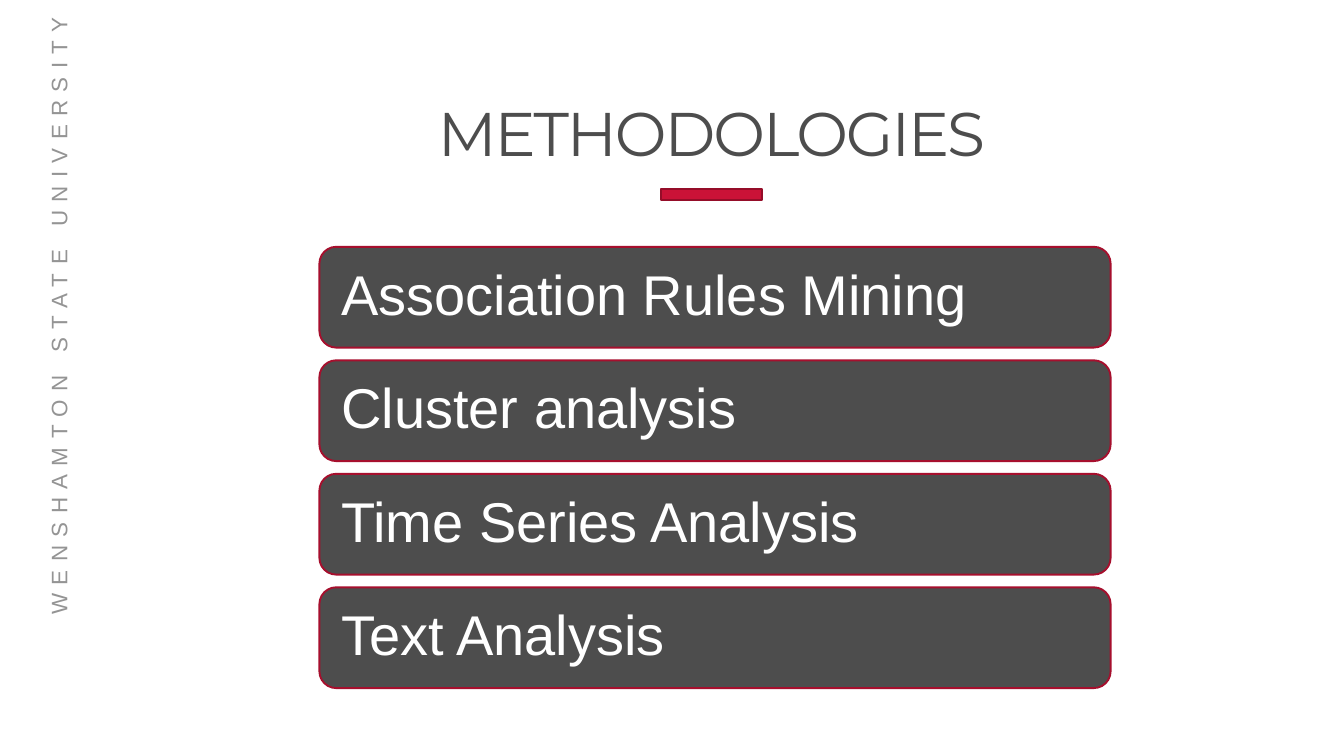
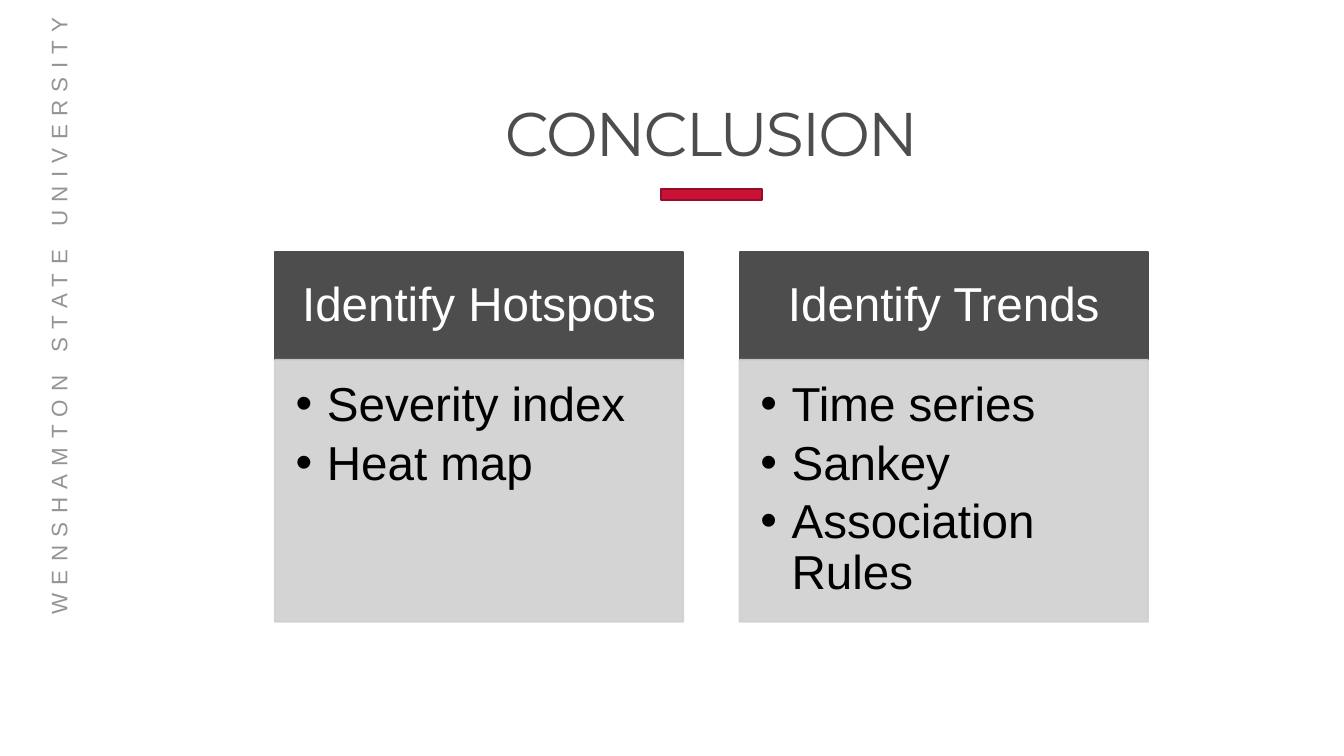
from lxml.etree import SubElement
from pptx import Presentation
from pptx.dml.color import RGBColor
from pptx.enum.shapes import MSO_SHAPE as Shape
from pptx.enum.text import MSO_ANCHOR as Anchor, MSO_AUTO_SIZE as AutoSize, PP_ALIGN as Align
from pptx.oxml.ns import qn
from pptx.util import Cm, Pt

WHITE = RGBColor(0xFF, 0xFF, 0xFF)
BLACK = RGBColor(0x00, 0x00, 0x00)
CHARCOAL = RGBColor(0x4D, 0x4D, 0x4D)
SILVER = RGBColor(0xD0, 0xD0, 0xD0)
SIDE_GREY = RGBColor(0x94, 0x94, 0x94)
BRIGHT_RED = RGBColor(0xCA, 0x12, 0x37)
DARK_RED = RGBColor(0x95, 0x0D, 0x29)
CRIMSON = RGBColor(0xA6, 0x0F, 0x2D)

TITLE_FONT = "Montserrat"
BODY_FONT = "Arial"
SIDE_TEXT = "WENSHAMTON STATE UNIVERSITY"

METHODS = ["Association Rules Mining", "Cluster analysis", "Time Series Analysis", "Text Analysis"]
CONCLUSIONS = {
    "Identify Hotspots": ["Severity index", "Heat map"],
    "Identify Trends": ["Time series", "Sankey", "Association Rules"],
}


def add_bullet(para, indent):
    props = para._p.get_or_add_pPr()
    props.set("marL", str(indent))
    props.set("indent", str(-indent))
    SubElement(props, qn("a:buFont")).set("typeface", BODY_FONT)
    SubElement(props, qn("a:buChar")).set("char", "•")


def set_opacity(fill, percent):
    for color in fill._xPr.iter(qn("a:srgbClr")):
        SubElement(color, qn("a:alpha")).set("val", str(percent * 1000))


def write(shape, lines, *, size, color, font=BODY_FONT, align=Align.LEFT, anchor=Anchor.MIDDLE,
          insets=(0, 0, 0, 0), line_spacing=0.9, space_after=0, tracking=0, bullet_indent=None):
    """Fill the shape with one paragraph per line; insets are left, top, right, bottom in cm."""
    frame = shape.text_frame
    frame.word_wrap = True
    frame.auto_size = AutoSize.NONE
    frame.vertical_anchor = anchor
    frame.margin_left, frame.margin_top, frame.margin_right, frame.margin_bottom = map(Cm, insets)
    for number, line in enumerate(lines):
        para = frame.add_paragraph() if number else frame.paragraphs[0]
        para.alignment = align
        para.line_spacing = line_spacing
        para.space_before = Pt(0)
        para.space_after = Pt(space_after)
        if bullet_indent:
            add_bullet(para, bullet_indent)
        span = para.add_run()
        span.text = line
        span.font.name = font
        span.font.size = Pt(size)
        span.font.color.rgb = color
        if tracking:
            span.font._element.set("spc", str(int(tracking * 100)))


class Builder:
    """Holds the deck and the slide being filled; lengths are in cm."""

    def __init__(self):
        self.deck = Presentation()
        self.deck.slide_width = Cm(33.87)
        self.deck.slide_height = Cm(19.05)
        self.page = None

    def start_page(self, title):
        self.page = self.deck.slides.add_slide(self.deck.slide_layouts[5])
        self.side_label()
        self.box(16.66, 4.77, 2.54, 0.27, BRIGHT_RED, DARK_RED)
        heading = self.page.shapes.title
        heading.left, heading.top, heading.width, heading.height = map(Cm, (4.95, 0.99, 25.96, 3.3))
        write(heading, [title], size=44, color=CHARCOAL, font=TITLE_FONT, align=Align.CENTER,
              anchor=Anchor.BOTTOM, tracking=-1.5)

    def side_label(self):
        label = self.page.shapes.add_textbox(Cm(-6.4), Cm(7.39), Cm(15.75), Cm(0.94))
        label.rotation = 270
        write(label, [SIDE_TEXT], size=16, color=SIDE_GREY, anchor=Anchor.TOP,
              insets=(0.25, 0.13, 0.25, 0.13), line_spacing=1, tracking=6)

    def box(self, left, top, width, height, fill, line, kind=Shape.RECTANGLE, opacity=100):
        box = self.page.shapes.add_shape(kind, Cm(left), Cm(top), Cm(width), Cm(height))
        box.shadow.inherit = False
        box.fill.solid()
        box.fill.fore_color.rgb = fill
        box.line.color.rgb = line
        box.line.width = Pt(1.35)
        if opacity < 100:
            set_opacity(box.fill, opacity)
        return box

    def bar(self, top, text):
        bar = self.box(8.05, top, 19.94, 2.54, CHARCOAL, CRIMSON, Shape.ROUNDED_RECTANGLE)
        write(bar, [text], size=40, color=WHITE, insets=(0.43,) * 4)

    def panel(self, left, heading, points):
        top, width, head_height = 6.35, 10.29, 2.72
        head = self.box(left, top, width, head_height, CHARCOAL, CHARCOAL)
        write(head, [heading], size=34, color=WHITE, align=Align.CENTER, insets=(0.66, 0.38, 0.66, 0.38))
        body = self.box(left, top + head_height, width, 6.6, SILVER, SILVER, opacity=90)
        write(body, points, size=34, color=BLACK, anchor=Anchor.TOP, insets=(0.52, 0.52, 0.66, 0.76),
              space_after=5, bullet_indent=Cm(0.79))


def main():
    builder = Builder()

    builder.start_page("METHODOLOGIES")
    for row, method in enumerate(METHODS):
        builder.bar(6.22 + row * 2.86, method)

    builder.start_page("CONCLUSION")
    for column, (heading, points) in enumerate(CONCLUSIONS.items()):
        builder.panel(6.93 + column * 11.71, heading, points)

    builder.deck.save("out.pptx")


if __name__ == "__main__":
    main()
